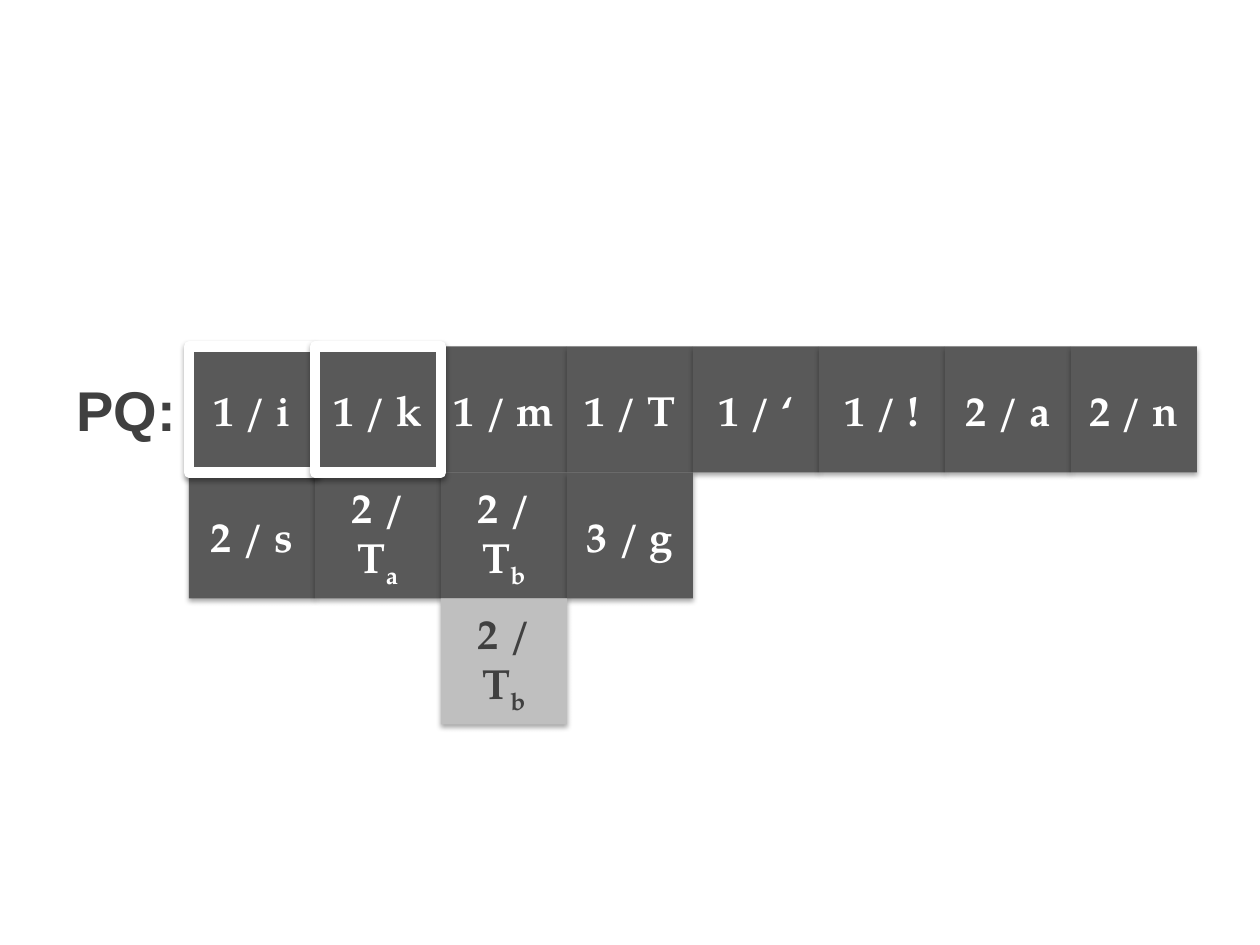
from dataclasses import dataclass

from lxml import etree
from pptx import Presentation
from pptx.dml.color import RGBColor
from pptx.enum.shapes import MSO_SHAPE
from pptx.enum.text import MSO_ANCHOR, PP_ALIGN
from pptx.oxml.ns import qn
from pptx.util import Inches, Pt

RECT = MSO_SHAPE.RECTANGLE
CENTER = PP_ALIGN.CENTER
MIDDLE = MSO_ANCHOR.MIDDLE


@dataclass(frozen=True)
class Theme:
    dark: str = "595959"
    pale: str = "BFBFBF"
    light: str = "FFFFFF"
    ink: str = "404040"
    shadow: str = "000000"
    node_font: str = "TeX Gyre Pagella"
    label_font: str = "Arial"
    node_size: int = 24
    label_size: int = 32
    outline: int = 6


@dataclass(frozen=True)
class Node:
    col: int
    row: int
    text: str
    sub: str = ""
    picked: bool = False
    merged: bool = False


THEME = Theme()
CELL = 1
LEFT, TOP = 1.5, 2.75
QUEUE_ROWS = [
    [("1 / i", ""), ("1 / k", ""), ("1 / m", ""), ("1 / T", ""),
     ("1 / ‘", ""), ("1 / !", ""), ("2 / a", ""), ("2 / n", "")],
    [("2 / s", ""), ("2 / T", "a"), ("2 / T", "b"), ("3 / g", "")],
]
PICKED_COUNT = 2


def cell_box(col: int, row: int) -> tuple:
    return (Inches(LEFT + col * CELL), Inches(TOP + row * CELL),
            Inches(CELL), Inches(CELL))


def rgb(color: str) -> RGBColor:
    return RGBColor.from_string(color)


def write(sp, parts: list, font: str, size: int, color: str) -> None:
    tf = sp.text_frame
    tf.word_wrap = True
    tf.vertical_anchor = MIDDLE
    p = tf.paragraphs[0]
    p.alignment = CENTER
    for text, baseline in parts:
        r = p.add_run()
        r.text = text
        r.font.name = font
        r.font.size = Pt(size)
        r.font.bold = True
        r.font.color.rgb = rgb(color)
        if baseline:
            r.font._element.set("baseline", str(baseline * 1000))


def add_shadow(sp) -> None:
    sp.shadow.inherit = False
    effects = sp._element.spPr.find(qn("a:effectLst"))
    shadow = etree.SubElement(
        effects, qn("a:outerShdw"), blurRad=str(Pt(3.1)), dist=str(Pt(1.8)),
        dir=str(90 * 60000), rotWithShape="0")
    color = etree.SubElement(shadow, qn("a:srgbClr"), val=THEME.shadow)
    etree.SubElement(color, qn("a:alpha"), val=str(35 * 1000))


def add_node(s, node: Node) -> None:
    sp = s.shapes.add_shape(RECT, *cell_box(node.col, node.row))
    sp.fill.solid()
    sp.fill.fore_color.rgb = rgb(THEME.pale if node.merged else THEME.dark)
    if node.picked:
        sp.line.color.rgb = rgb(THEME.light)
        sp.line.width = Pt(THEME.outline)
    else:
        sp.line.fill.background()
    add_shadow(sp)
    parts = [(node.text, 0)] + ([(node.sub, -25)] if node.sub else [])
    write(sp, parts, THEME.node_font, THEME.node_size,
          THEME.ink if node.merged else THEME.light)


def add_label(s, text: str) -> None:
    sp = s.shapes.add_textbox(*cell_box(-1, 0))
    write(sp, [(text, 0)], THEME.label_font, THEME.label_size, THEME.ink)


prs = Presentation()
prs.slide_width, prs.slide_height = Inches(10), Inches(7.5)
s = prs.slides.add_slide(prs.slide_layouts[6])

nodes = [
    Node(col, row, text, sub, picked=row == 0 and col < PICKED_COUNT)
    for row, entries in enumerate(QUEUE_ROWS)
    for col, (text, sub) in enumerate(entries)
]
nodes.append(Node(2, 2, "2 / T", "b", merged=True))

add_label(s, "PQ:")
for node in sorted(nodes, key=lambda n: n.picked):
    add_node(s, node)

prs.save("out.pptx")
